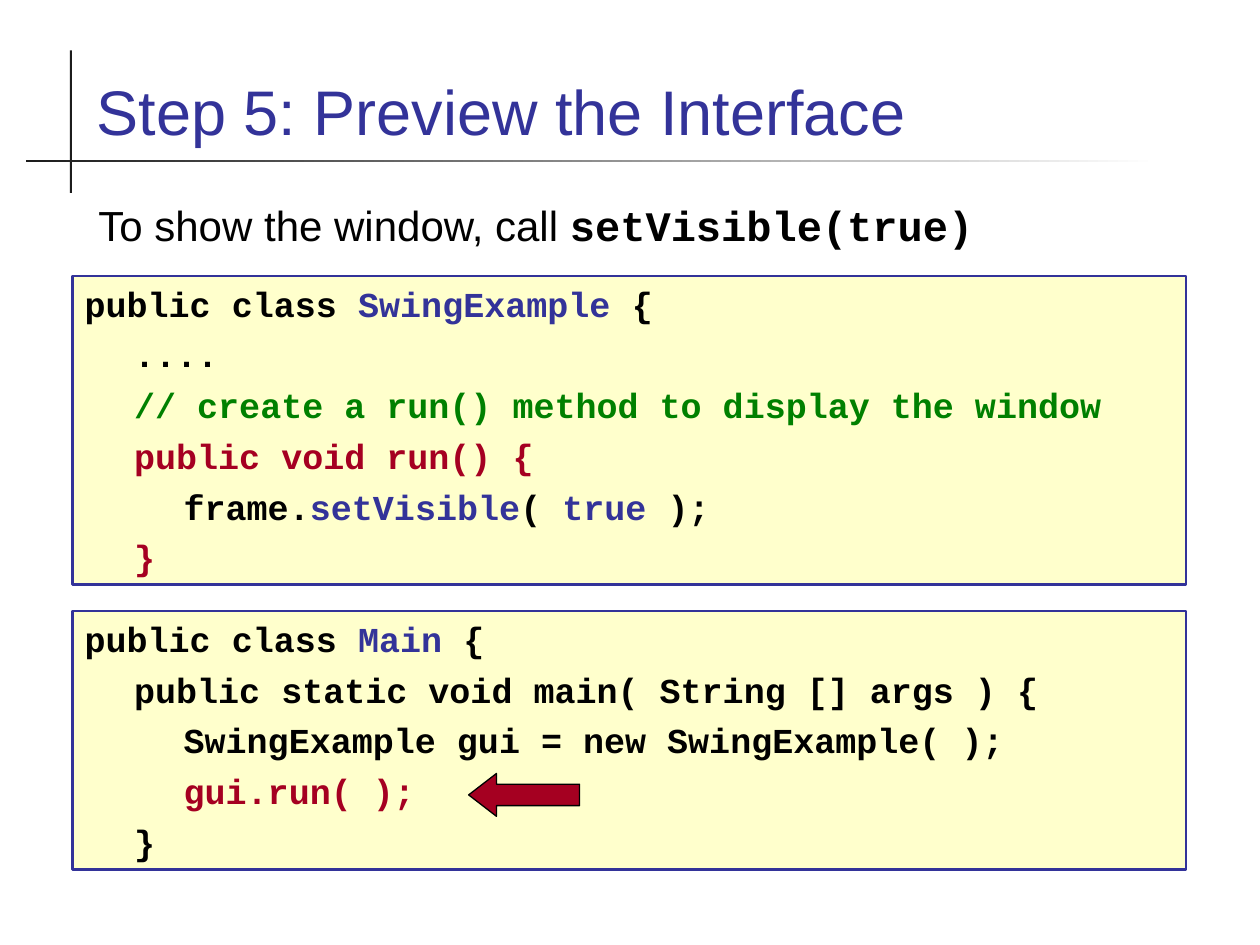
from lxml.etree import SubElement
from pptx import Presentation
from pptx.dml.color import RGBColor
from pptx.enum.shapes import MSO_SHAPE as Shape
from pptx.enum.text import MSO_ANCHOR as Anchor, MSO_AUTO_SIZE as AutoSize, PP_ALIGN as Align
from pptx.oxml.ns import qn
from pptx.util import Pt

BLACK, BLUE, GREEN, RED = "000000", "333399", "008000", "A50021"
CREAM, WHITE, DARK = "FFFFCC", "FFFFFF", "1C1C1C"
SANS, MONO = "Arial", "Courier New"

TITLE = "Step 5: Preview the Interface"
LEAD = [("To show the window, call ", SANS), ("setVisible(true)", MONO)]
SWING_CODE = [
    [("public class ", BLACK), ("SwingExample", BLUE), (" {", BLACK)],
    [("\t....", BLACK)],
    [("\t// create a run() method to display the window", GREEN)],
    [("\tpublic void run() {", RED)],
    [("\t\tframe.", BLACK), ("setVisible", BLUE), ("( ", BLACK), ("true ", BLUE), (");", BLACK)],
    [("\t}", RED)],
]
MAIN_CODE = [
    [("public class ", BLACK), ("Main", BLUE), (" {", BLACK)],
    [("\tpublic static void main( String [] args ) {", BLACK)],
    [("\t\tSwingExample gui = new SwingExample( );", BLACK)],
    [("\t\tgui.run( );", RED)],
    [("\t}", BLACK)],
]
CODE_BOXES = [(157.7, 176.4, SWING_CODE), (349.2, 147.6, MAIN_CODE)]
CODE_LEFT, CODE_WIDTH = 41.3, 636.5
TAB_STEP, TAB_COUNT, LINE_GAP = 28.3, 8, 5


def colour(value):
    return RGBColor.from_string(value)


def place(shape, left, top, width, height):
    shape.left, shape.top, shape.width, shape.height = map(Pt, (left, top, width, height))


def add_box(page, kind, bounds, fill, line=None, weight=0):
    box = page.shapes.add_shape(kind, *map(Pt, bounds))
    box.shadow.inherit = False
    box.fill.solid()
    box.fill.fore_color.rgb = colour(fill)
    if line:
        box.line.color.rgb = colour(line)
        box.line.width = Pt(weight)
    else:
        box.line.fill.background()
    return box


def set_frame(frame, anchor):
    frame.word_wrap = True
    frame.auto_size = AutoSize.NONE
    frame.vertical_anchor = anchor
    frame.margin_left = frame.margin_right = Pt(7.2)
    frame.margin_top = frame.margin_bottom = Pt(3.6)


def set_font(font, name, size, ink, bold=False):
    font.name, font.size, font.bold = name, Pt(size), bold
    font.color.rgb = colour(ink)


def add_tabs(para):
    stops = SubElement(para._p.get_or_add_pPr(), qn("a:tabLst"))
    for number in range(TAB_COUNT):
        SubElement(stops, qn("a:tab"), pos=str(Pt(number * TAB_STEP)), algn="l")


def add_code(page, top, height, lines):
    box = add_box(page, Shape.RECTANGLE, (CODE_LEFT, top, CODE_WIDTH, height), CREAM, BLUE, 1.5)
    frame = box.text_frame
    set_frame(frame, Anchor.TOP)
    for index, spans in enumerate(lines):
        para = frame.add_paragraph() if index else frame.paragraphs[0]
        para.alignment = Align.LEFT
        para.space_before = Pt(LINE_GAP if index else 0)
        add_tabs(para)
        set_font(para.font, MONO, 20, BLACK, True)
        for text, ink in spans:
            span = para.add_run()
            span.text = text
            span.font.color.rgb = colour(ink)


def add_title(page):
    title = page.shapes.title
    place(title, 48.2, 19.7, 623.5, 68.4)
    set_frame(title.text_frame, Anchor.BOTTOM)
    title.text_frame.text = TITLE
    para = title.text_frame.paragraphs[0]
    para.alignment = Align.LEFT
    set_font(para.font, SANS, 36, BLUE)


def add_lead(page):
    body = page.placeholders[1]
    place(body, 47.5, 110.2, 623.5, 46.8)
    set_frame(body.text_frame, Anchor.TOP)
    para = body.text_frame.paragraphs[0]
    para.space_before = Pt(0)
    props = para._p.get_or_add_pPr()
    props.set("marL", str(Pt(27.4)))
    props.set("indent", str(Pt(-25.9)))
    SubElement(props, qn("a:buNone"))
    for text, name in LEAD:
        span = para.add_run()
        span.text = text
        set_font(span.font, name, 24, BLACK, name == MONO)


def add_rules(page):
    add_box(page, Shape.RECTANGLE, (40, 28.8, 1.2, 81.4), DARK)
    rule = add_box(page, Shape.RECTANGLE, (15.1, 91.2, 646.6, 1.2), DARK)
    rule.fill.gradient()
    rule.fill.gradient_angle = 180
    for stop, ink in zip(rule.fill.gradient_stops, (WHITE, DARK)):
        stop.color.rgb = colour(ink)


def main():
    deck = Presentation()
    deck.slide_width, deck.slide_height = Pt(720), Pt(540)
    page = deck.slides.add_slide(deck.slide_layouts[1])
    add_rules(page)
    add_title(page)
    add_lead(page)
    for top, height, lines in CODE_BOXES:
        add_code(page, top, height, lines)
    arrow = add_box(page, Shape.LEFT_ARROW, (267.8, 442, 63.4, 24.5), RED, BLACK, 0.75)
    arrow.adjustments[1] = 0.65
    deck.save("out.pptx")


if __name__ == "__main__":
    main()
